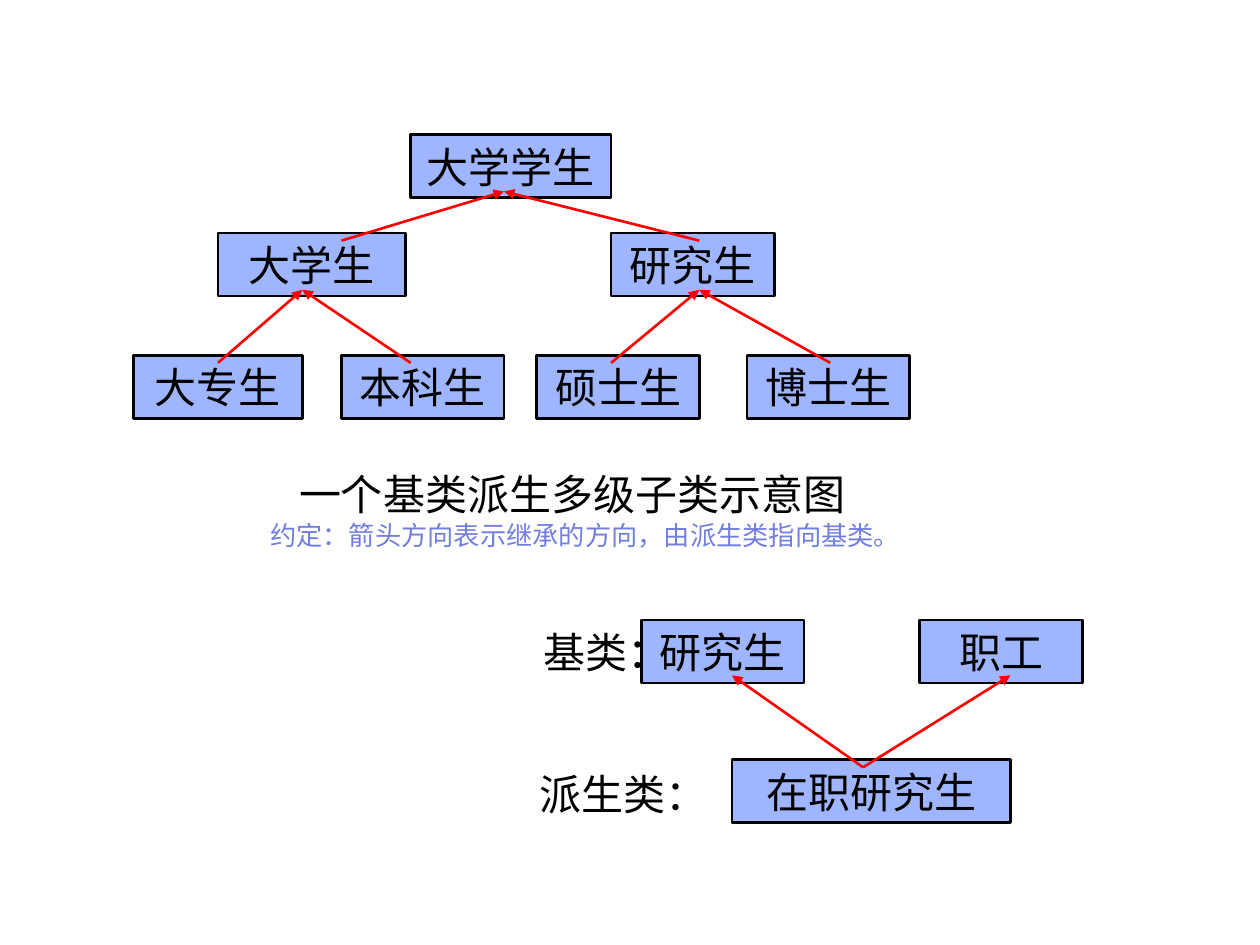
"""Build a slide on single and multiple inheritance between student classes."""
import pptx
import pptx.dml.color
import pptx.enum.shapes
import pptx.enum.text
import pptx.oxml.ns
import pptx.util
from lxml import etree
from pptx.util import Inches

COLOURS = {"box": "9FB6FF", "ink": "000000", "arrow": "FF0000", "note": "727DE0"}
FONT = "Times New Roman"
BOX_HEIGHT = 0.5


def rgb(name):
    return pptx.dml.color.RGBColor.from_string(COLOURS[name])


def add_line_of_text(paragraph, text, size=24, colour="ink"):
    paragraph.alignment = pptx.enum.text.PP_ALIGN.CENTER
    run = paragraph.add_run()
    run.text = text
    run.font.size = pptx.util.Pt(size)
    run.font.name = FONT
    run.font.color.rgb = rgb(colour)


deck = pptx.Presentation()
deck.slide_width, deck.slide_height = Inches(10), Inches(7.5)
slide = deck.slides.add_slide(deck.slide_layouts[6])

single_inheritance = (
    [
        ("大学学生", 3.26, 1.07, 1.59),
        ("大学生", 1.73, 1.85, 1.49),
        ("研究生", 4.85, 1.85, 1.3),
        ("大专生", 1.06, 2.82, 1.34),
        ("本科生", 2.71, 2.82, 1.29),
        ("博士生", 5.93, 2.82, 1.29),
        ("硕士生", 4.26, 2.82, 1.29),
    ],
    [
        ((4, 1.52), [(2.71, 1.91), (5.55, 1.91)]),
        ((2.4, 2.3), [(1.73, 2.88), (3.26, 2.88)]),
        ((5.55, 2.3), [(4.85, 2.88), (6.59, 2.88)]),
    ],
)
multiple_inheritance = (
    [
        ("研究生", 5.09, 4.92, 1.29),
        ("职工", 7.3, 4.92, 1.29),
        ("在职研究生", 5.81, 6.03, 2.21),
    ],
    [
        ((5.81, 5.36), [(6.85, 6.09)]),
        ((8.02, 5.36), [(6.85, 6.09)]),
    ],
)

for classes, families in (single_inheritance, multiple_inheritance):
    diagram = slide.shapes.add_group_shape()
    for class_name, left, top, width in classes:
        box = diagram.shapes.add_shape(
            pptx.enum.shapes.MSO_SHAPE.RECTANGLE,
            Inches(left), Inches(top), Inches(width), Inches(BOX_HEIGHT),
        )
        box.shadow.inherit = False
        box.fill.solid()
        box.fill.fore_color.rgb = rgb("box")
        box.line.color.rgb = rgb("ink")
        box.line.width = pptx.util.Pt(1.5)
        box.text_frame.vertical_anchor = pptx.enum.text.MSO_ANCHOR.MIDDLE
        add_line_of_text(box.text_frame.paragraphs[0], class_name)

    for base, derived_classes in families:
        for derived in derived_classes:
            arrow = diagram.shapes.add_connector(
                pptx.enum.shapes.MSO_CONNECTOR.STRAIGHT,
                *[Inches(value) for value in base + derived],
            )
            arrow.line.color.rgb = rgb("arrow")
            arrow.line.width = pptx.util.Pt(1.5)
            etree.SubElement(
                arrow.line._get_or_add_ln(),
                pptx.oxml.ns.qn("a:headEnd"), type="triangle",
            )
            etree.SubElement(
                arrow._element.spPr, pptx.oxml.ns.qn("a:effectLst")
            )

captions = [
    (1.95, 3.67, 5.18, 0.74, [
        ("一个基类派生多级子类示意图", 24, "ink"),
        ("约定：箭头方向表示继承的方向，由派生类指向基类。", 15, "note"),
    ]),
    (4.06, 4.93, 1.18, 0.49, [("基类：", 24, "ink")]),
    (4.02, 6.05, 1.52, 0.49, [("派生类：", 24, "ink")]),
]
for left, top, width, height, lines in captions:
    caption = slide.shapes.add_textbox(
        Inches(left), Inches(top), Inches(width), Inches(height)
    ).text_frame
    caption.word_wrap = False
    if len(lines) == 1:
        caption.vertical_anchor = pptx.enum.text.MSO_ANCHOR.MIDDLE
    for index, line in enumerate(lines):
        paragraph = caption.add_paragraph() if index else caption.paragraphs[0]
        add_line_of_text(paragraph, *line)

deck.save("out.pptx")
